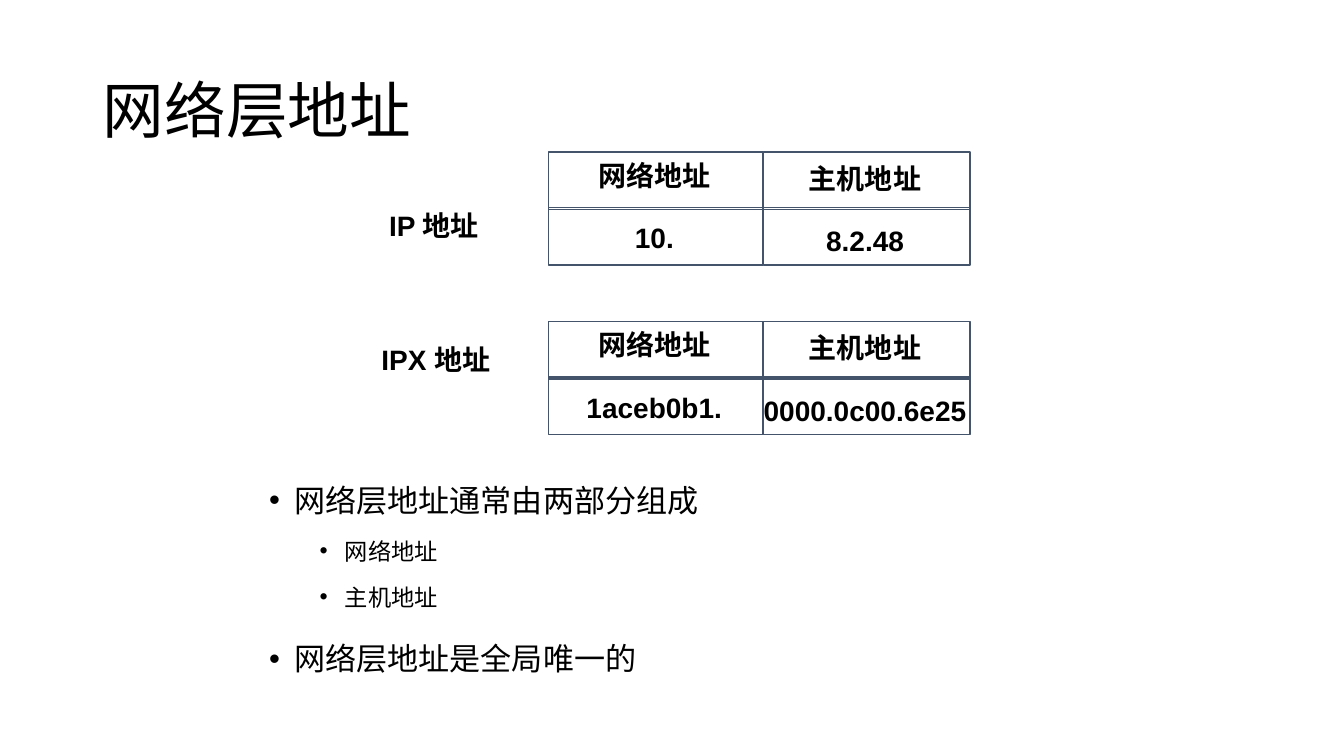
import pptx
import pptx.util
import pptx.dml.color
import pptx.enum.shapes
import pptx.enum.text
import pptx.oxml.ns
from lxml import etree

Inches = pptx.util.Inches
Pt = pptx.util.Pt
BLACK = pptx.dml.color.RGBColor(0, 0, 0)
SLATE = pptx.dml.color.RGBColor(0x44, 0x54, 0x6A)
CJK = "Noto Sans CJK SC"
ALIGN = pptx.enum.text.PP_ALIGN


def format_runs(para, size, latin, bold=False):
    for span in para.runs:
        span.font.size = Pt(size)
        span.font.name = latin
        span.font.bold = bold
        span.font.color.rgb = BLACK
        east_asian = etree.SubElement(span.font._element, pptx.oxml.ns.qn("a:ea"))
        east_asian.set("typeface", CJK)


def add_label(text, left, top, width, wrap):
    box = page.shapes.add_textbox(Inches(left), Inches(top), Inches(width), Inches(0.44))
    box.text_frame.text = text
    box.text_frame.word_wrap = wrap
    box.text_frame.auto_size = pptx.enum.text.MSO_AUTO_SIZE.SHAPE_TO_FIT_TEXT
    para = box.text_frame.paragraphs[0]
    para.alignment = ALIGN.CENTER
    format_runs(para, 20, "Arial", True)


deck = pptx.Presentation()
deck.slide_width = Inches(13.33)
deck.slide_height = Inches(7.5)
page = deck.slides.add_slide(deck.slide_layouts[1])

# Title
title = page.shapes.title
title.left, title.top, title.width, title.height = map(Inches, (0.92, 0.4, 11.5, 1.45))
title.text_frame.text = "网络层地址"
title.text_frame.vertical_anchor = pptx.enum.text.MSO_ANCHOR.MIDDLE
title.text_frame.auto_size = pptx.enum.text.MSO_AUTO_SIZE.NONE
heading = title.text_frame.paragraphs[0]
heading.alignment = ALIGN.LEFT
heading.line_spacing = 0.9
format_runs(heading, 44, CJK)

# Bullet list
body = page.placeholders[1]
body.left, body.top, body.width, body.height = map(Inches, (2.57, 4.58, 8.43, 2.2))
body.text_frame.auto_size = pptx.enum.text.MSO_AUTO_SIZE.NONE
points = [("网络层地址通常由两部分组成", 0), ("网络地址", 1),
          ("主机地址", 1), ("网络层地址是全局唯一的", 0)]
body.text_frame.text = "\n".join(text for text, level in points)
for para, (text, level) in zip(body.text_frame.paragraphs, points):
    para.level = level
    para.line_spacing = 1.4
    para.space_before = Pt(5 if level else 10)
    format_runs(para, 16.6 if level else 22.2, CJK)
    properties = para._p.get_or_add_pPr()
    properties.set("marL", str(Inches(0.25 + 0.5 * level)))
    properties.set("indent", str(Inches(-0.25)))
    for tag, key, value in (("a:buFont", "typeface", "Arial"), ("a:buChar", "char", "•")):
        etree.SubElement(properties, pptx.oxml.ns.qn(tag)).set(key, value)

# Address names
add_label("IP 地址", 3.51, 2.02, 1.59, True)
add_label("IPX 地址", 3.44, 3.35, 1.77, True)

# Address grids: left, width, text centre and text drop of each column
columns = [(5.44, 2.13, 6.49, 0), (7.57, 2.05, 8.58, 0.03)]
header = [("网络地址", 1.33), ("主机地址", 1.33)]
grids = [(1.51, [("10.", 0.59), ("8.2.48", 0.98)]),
         (3.19, [("1aceb0b1.", 1.56), ("0000.0c00.6e25", 2.23)])]
for grid_top, address in grids:
    for row_top in (grid_top + 0.55, grid_top):
        for left, width, centre, drop in columns:
            cell = page.shapes.add_shape(
                pptx.enum.shapes.MSO_SHAPE.RECTANGLE,
                Inches(left), Inches(row_top), Inches(width), Inches(0.57))
            cell.shadow.inherit = False
            cell.fill.background()
            cell.line.color.rgb = SLATE
            cell.line.width = Pt(1)
    for text_top, row in ((grid_top + 0.01, header), (grid_top + 0.63, address)):
        for (text, text_width), (left, width, centre, drop) in zip(row, columns):
            add_label(text, centre - text_width / 2, text_top + drop, text_width, False)

deck.save("out.pptx")
